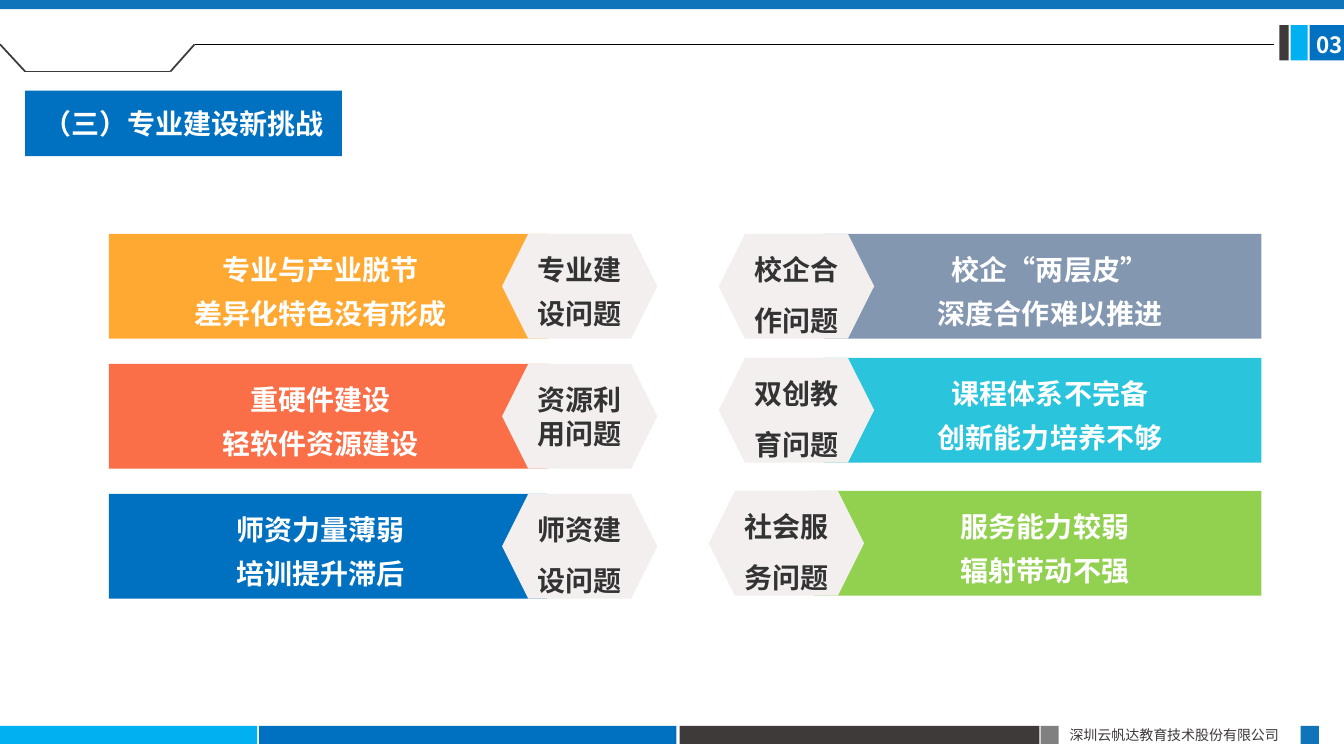
from lxml.etree import SubElement
from pptx import Presentation
from pptx.dml.color import RGBColor
from pptx.enum.shapes import MSO_CONNECTOR as Connector, MSO_SHAPE as Preset
from pptx.enum.text import MSO_ANCHOR as Anchor, PP_ALIGN as Align
from pptx.oxml.ns import qn
from pptx.util import Inches, Pt

BLUE, SKY, DARK, WHITE = "0070C0", "00B0F0", "3E3A39", "FFFFFF"
HEADER_BLUE, GREY, PALE, INK = "1074BB", "808080", "F3EFEF", "333333"
ROW_HEIGHT, NOTCH, HEXAGON_WIDTH = 1.04, 0.4, 1.54
LEFT_EDGE, RIGHT_EDGE = 1.08, 12.51


def color(value):
    return RGBColor.from_string(value)


class Slide:
    latin = "Calibri"
    asian = "Noto Sans CJK SC"

    def __init__(self, deck):
        self.page = deck.slides.add_slide(deck.slide_layouts[5])
        self.shapes = self.page.shapes

    def paint(self, shape, fill):
        shape.fill.solid()
        shape.fill.fore_color.rgb = color(fill)
        shape.line.fill.background()
        shape.shadow.inherit = False

    def set_text(self, shape, lines, size=20, ink=WHITE, bold=True, align=Align.CENTER,
                 spacing=1.0, insets=(0.1, 0.05, 0.1, 0.05), wrap=True, font=latin):
        frame = shape.text_frame
        frame.word_wrap = wrap
        frame.vertical_anchor = Anchor.MIDDLE
        frame.margin_left, frame.margin_top, frame.margin_right, frame.margin_bottom = map(Inches, insets)
        frame.text = "\n".join(lines)
        for para in frame.paragraphs:
            para.alignment = align
            para.line_spacing = spacing
            para.font.size = Pt(size)
            para.font.bold = bold
            para.font.color.rgb = color(ink)
            para.font.name = font
            properties = para.font._element
            SubElement(properties, qn("a:ea")).set("typeface", self.asian)

    def title(self, text, place, fill):
        box = self.shapes.title
        box.left, box.top, box.width, box.height = map(Inches, place)
        box.fill.solid()
        box.fill.fore_color.rgb = color(fill)
        self.set_text(box, [text])

    def block(self, place, fill, preset=Preset.RECTANGLE):
        shape = self.shapes.add_shape(preset, *map(Inches, place))
        self.paint(shape, fill)
        return shape

    def label(self, text, place, size, ink, bold):
        box = self.shapes.add_textbox(*map(Inches, place))
        self.set_text(box, [text], size, ink, bold, Align.LEFT, wrap=False, font=self.asian)

    def line(self, start, end, ink, width):
        connector = self.shapes.add_connector(Connector.STRAIGHT, *map(Inches, start + end))
        connector.line.color.rgb = color(ink)
        connector.line.width = Pt(width)
        SubElement(connector._element.spPr, qn("a:effectLst"))

    def banner(self, outer, inner, top, fill, lines):
        toward_outer = 1 if outer > inner else -1
        points = [(inner, top), (inner + toward_outer * NOTCH, top + ROW_HEIGHT / 2),
                  (inner, top + ROW_HEIGHT), (outer, top + ROW_HEIGHT)]
        builder = self.shapes.build_freeform(Inches(outer), Inches(top))
        builder.add_line_segments([(Inches(x), Inches(y)) for x, y in points])
        shape = builder.convert_to_shape()
        self.paint(shape, fill)
        insets = (0.31, 0.05, 0.16, 0.05) if toward_outer > 0 else (0.16, 0.05, 0.31, 0.05)
        self.set_text(shape, lines, spacing=1.3, insets=insets)

    def hexagon(self, left, top, text, spacing):
        shape = self.block((left, top, HEXAGON_WIDTH, ROW_HEIGHT), PALE, Preset.HEXAGON)
        self.set_text(shape, [text], ink=INK, spacing=spacing, insets=(0, 0, 0, 0))


def main():
    deck = Presentation()
    deck.slide_width, deck.slide_height = Inches(13.33), Inches(7.5)
    slide = Slide(deck)

    bars = [
        (0, 7.2, 2.55, 0.18, SKY), (2.57, 7.2, 4.14, 0.18, BLUE),
        (6.74, 7.2, 3.57, 0.18, DARK), (10.32, 7.2, 0.18, 0.18, GREY),
        (12.9, 7.2, 0.18, 0.18, HEADER_BLUE), (0, 0, 13.33, 0.09, HEADER_BLUE),
        (12.99, 0.25, 0.34, 0.35, BLUE), (12.8, 0.25, 0.17, 0.35, SKY),
        (12.69, 0.25, 0.09, 0.35, DARK),
    ]
    for *place, fill in bars:
        slide.block(place, fill)

    tab = [(0, 0.44), (0.25, 0.71), (1.69, 0.71), (1.93, 0.44)]
    for start, end in zip(tab, tab[1:]):
        slide.line(start, end, DARK, 1.25)
    slide.line(tab[-1], (12.64, 0.44), "000000", 0.5)

    slide.label("深圳云帆达教育技术股份有限公司", (10.51, 7.16, 2.4, 0.27), 10, DARK, False)
    slide.label("03", (12.96, 0.26, 0.5, 0.37), 16, WHITE, True)
    slide.title("（三）专业建设新挑战", (0.25, 0.9, 3.14, 0.65), BLUE)

    left_rows = [
        (2.32, "FFA932", ["专业与产业脱节", "差异化特色没有形成"], "专业建设问题", 1.3),
        (3.61, "FA6F48", ["重硬件建设", "轻软件资源建设"], "资源利用问题", 1.0),
        (4.9, BLUE, ["师资力量薄弱", "培训提升滞后"], "师资建设问题", 1.5),
    ]
    for top, fill, lines, topic, spacing in left_rows:
        slide.banner(LEFT_EDGE, 5.43, top, fill, lines)
        slide.hexagon(4.98, top, topic, spacing)

    right_rows = [
        (8.17, 2.32, "8497B0", ["校企“两层皮”", "深度合作难以推进"], "校企合作问题"),
        (8.17, 3.55, "2AC4DC", ["课程体系不完备", "创新能力培养不够"], "双创教育问题"),
        (8.07, 4.87, "92D050", ["服务能力较弱", "辐射带动不强"], "社会服务问题"),
    ]
    for inner, top, fill, lines, topic in right_rows:
        slide.banner(RIGHT_EDGE, inner, top, fill, lines)
        slide.hexagon(inner - 1.04, top, topic, 1.5)

    deck.save("out.pptx")


if __name__ == "__main__":
    main()
